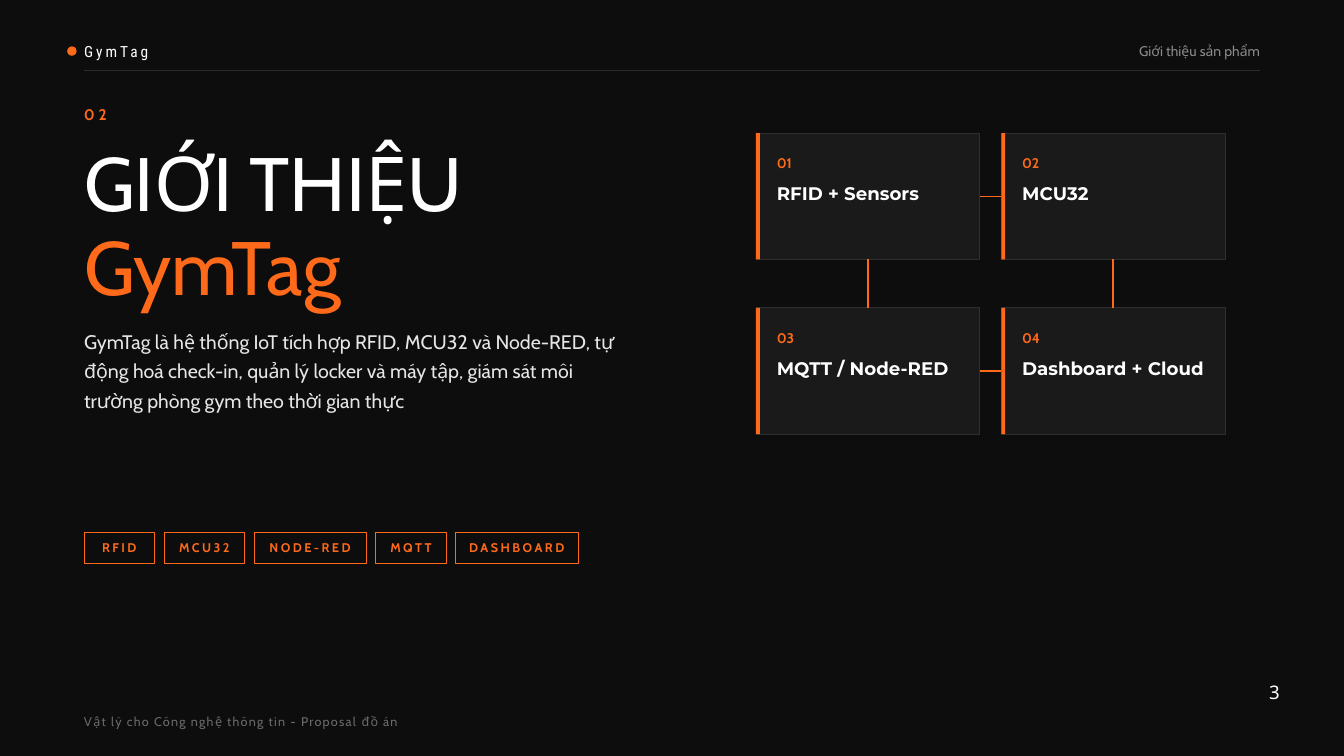
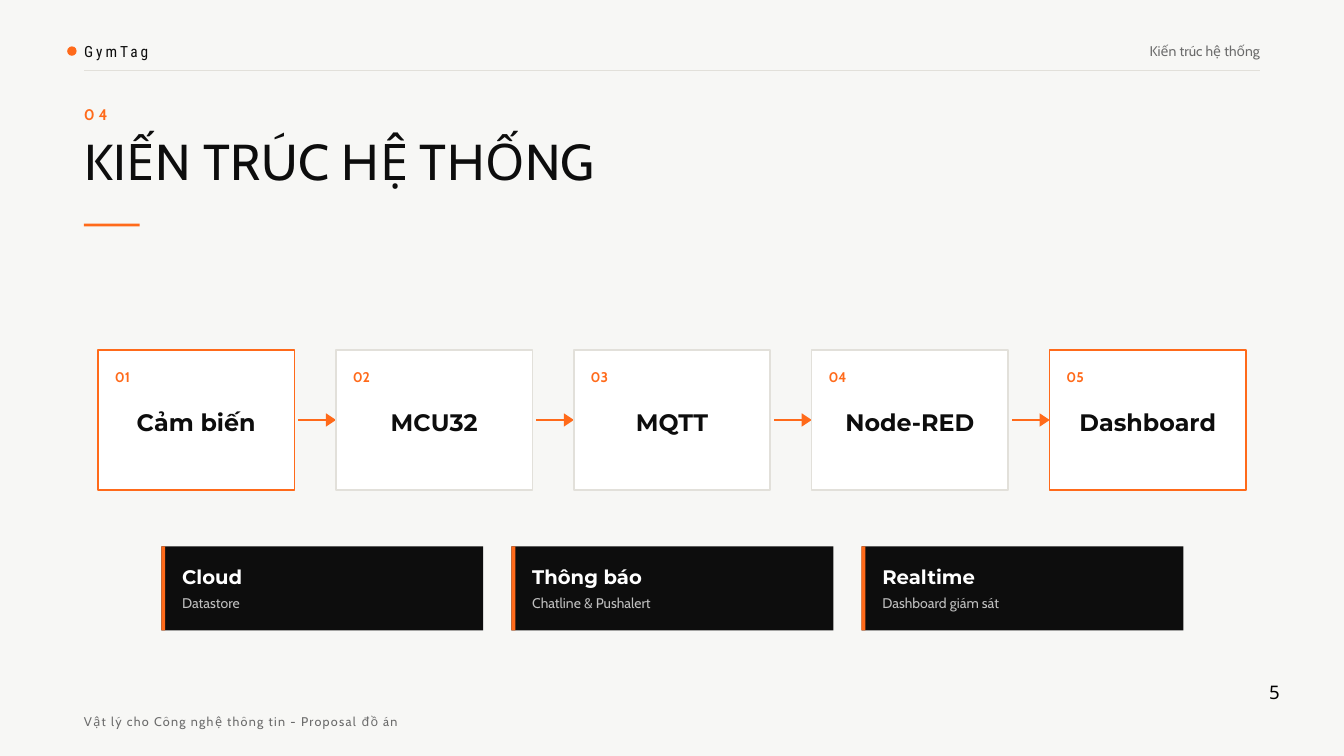
from lxml import etree
from pptx import Presentation
from pptx.dml.color import RGBColor
from pptx.enum.shapes import MSO_CONNECTOR, MSO_SHAPE
from pptx.enum.text import MSO_ANCHOR, MSO_AUTO_SIZE, PP_ALIGN
from pptx.oxml.ns import qn
from pptx.util import Inches, Pt

RECTANGLE = MSO_SHAPE.RECTANGLE
OVAL = MSO_SHAPE.OVAL
STRAIGHT = MSO_CONNECTOR.STRAIGHT
LEFT, CENTER, RIGHT = PP_ALIGN.LEFT, PP_ALIGN.CENTER, PP_ALIGN.RIGHT
TOP = MSO_ANCHOR.TOP
GROW = MSO_AUTO_SIZE.SHAPE_TO_FIT_TEXT
SIDE_TOP, SIDE_LEFT, SIDE_BOTTOM, SIDE_RIGHT = range(4)

ORANGE, BLACK, WHITE = "FF6A1A", "0D0D0D", "FFFFFF"
GRAY, RULE = "6B6B6B", "E2E0DA"
DARK = {"background": BLACK, "text": WHITE, "topic": "8A8A8A", "rule": "2A2A2A", "number": WHITE}
LIGHT = {"background": "F7F7F5", "text": BLACK, "topic": GRAY, "rule": RULE, "number": "000000"}

MARGIN = 1.25
FOOTER = "Vật lý cho Công nghệ thông tin - Proposal đồ án"


def text_style(name, size, line, bold=False, align=LEFT, tracking=0):
    """Collect the font, paragraph and tracking values of one text style."""
    return {
        "font": {"name": name, "size": Pt(size), "bold": bold},
        "paragraph": {"line_spacing": Pt(line), "alignment": align},
        "tracking": tracking,
    }


STYLES = {
    "brand": text_style("Roboto Condensed", 16.5, 23.1, tracking=3.3),
    "topic": text_style("Cabin", 15, 21, align=RIGHT),
    "section": text_style("Cabin", 16.5, 23.1, bold=True, tracking=4.13),
    "hero": text_style("Cabin", 81, 81),
    "title": text_style("Cabin", 54, 56.7, tracking=0.54),
    "body": text_style("Cabin", 21, 31.5),
    "tag": text_style("Cabin", 13.5, 18.9, bold=True, align=CENTER, tracking=2.7),
    "index": text_style("Cabin", 15, 21, bold=True),
    "module": text_style("Montserrat", 19.5, 27.3, bold=True),
    "stage": text_style("Montserrat", 25.5, 35.7, bold=True, align=CENTER),
    "service": text_style("Montserrat", 21, 29.4, bold=True),
    "detail": text_style("Cabin", 15, 21),
    "number": text_style("Noto Sans", 20, 28, align=CENTER),
    "footer": text_style("Cabin", 13.5, 18.9, tracking=1.35),
}


def color(value):
    """Turn a hex string into a colour."""
    return RGBColor.from_string(value)


def set_values(target, values):
    """Set every attribute named in a dict."""
    for name, value in values.items():
        setattr(target, name, value)


def write(shape, text, style, text_color, margin_top=0):
    """Fill a shape with one styled paragraph."""
    frame = shape.text_frame
    set_values(frame, {
        "margin_left": 0, "margin_right": 0, "margin_bottom": 0,
        "margin_top": Inches(margin_top), "vertical_anchor": TOP, "word_wrap": True,
    })
    values = STYLES[style]
    paragraph = frame.paragraphs[0]
    set_values(paragraph, values["paragraph"])
    run = paragraph.add_run()
    run.text = text
    set_values(run.font, values["font"])
    run.font.color.rgb = color(text_color)
    if values["tracking"]:
        run._r.get_or_add_rPr().set("spc", str(round(values["tracking"] * 100)))


def add_text(slide, box, text, style, text_color):
    """Add a text box that grows with its text."""
    shape = slide.shapes.add_textbox(*map(Inches, box))
    write(shape, text, style, text_color)
    shape.text_frame.auto_size = GROW
    return shape


def paint(shape, fill=None, line=None, width=0.75):
    """Give a shape a flat fill and an optional outline."""
    shape.shadow.inherit = False
    if fill:
        shape.fill.solid()
        shape.fill.fore_color.rgb = color(fill)
    else:
        shape.fill.background()
    if line:
        shape.line.color.rgb = color(line)
        shape.line.width = Pt(width)
    else:
        shape.line.fill.background()


def add_box(slide, box, fill=None, line=None, width=0.75, kind=RECTANGLE):
    """Add a painted preset shape."""
    shape = slide.shapes.add_shape(kind, *map(Inches, box))
    paint(shape, fill, line, width)
    return shape


def add_line(slide, start, end, line, width):
    """Add a straight connector without a shadow."""
    connector = slide.shapes.add_connector(STRAIGHT, *map(Inches, (*start, *end)))
    connector.line.color.rgb = color(line)
    connector.line.width = Pt(width)
    etree.SubElement(connector._element.spPr, qn("a:effectLst"))
    return connector


def add_arrow(slide, left, middle, tip):
    """Draw a line with a broad triangular head ending at the tip."""
    add_line(slide, (left, middle), (tip - 0.06, middle), ORANGE, 2.25)
    back = Inches(tip - 0.15)
    builder = slide.shapes.build_freeform(back, Inches(middle - 0.1))
    points = ((Inches(tip), Inches(middle)), (back, Inches(middle + 0.1)))
    builder.add_line_segments(points, close=True)
    paint(builder.convert_to_shape(), ORANGE)


def add_header(slide, theme, topic, section):
    """Draw the brand, topic, rule and section number."""
    add_box(slide, (1, 0.69, 0.14, 0.14), ORANGE, kind=OVAL)
    add_text(slide, (MARGIN, 0.58, 6.25, 0.31), "GymTag", "brand", theme["text"])
    add_text(slide, (16.75, 0.59, 2, 0.28), topic, "topic", theme["topic"])
    add_line(slide, (MARGIN, 1.04), (18.75, 1.04), theme["rule"], 0.75)
    add_text(slide, (MARGIN, 1.52, 8.33, 0.31), section, "section", ORANGE)


def add_footer(slide, theme, number):
    """Draw the page number and the footer."""
    page = add_text(slide, (18.88, 10.07, 0.17, 0.22), number, "number", theme["number"])
    page.text_frame.word_wrap = False
    add_text(slide, (MARGIN, 10.59, 8.33, 0.25), FOOTER, "footer", GRAY)


def add_themed_slide(presentation, theme):
    """Add a blank slide with the background of a theme."""
    slide = presentation.slides.add_slide(presentation.slide_layouts[6])
    slide.background.fill.solid()
    slide.background.fill.fore_color.rgb = color(theme["background"])
    return slide


def add_tags(slide, left, top, tags):
    """Lay outlined tags in a row with equal gaps."""
    for label, width in tags:
        tag = add_box(slide, (left, top, width, 0.46), line=ORANGE)
        write(tag, label, "tag", ORANGE, margin_top=0.08)
        left += width + 0.14


def add_module_card(slide, box, index, name):
    """Draw a dark card with an accent bar, index and name."""
    left, top, width, height = box
    card = add_box(slide, box, "1A1A1A", "2F2F2F")
    add_box(slide, (left, top, 0.06, height), ORANGE)
    add_text(slide, (left + 0.31, top + 0.68, width - 0.62, 0.37), name, "module", WHITE)
    add_text(slide, (left + 0.31, top + 0.28, 0.62, 0.28), index, "index", ORANGE)
    return card


def add_module_grid(slide, left, top, names):
    """Draw a two by two grid of linked module cards."""
    cards = []
    for position, name in enumerate(names):
        row, column = divmod(position, 2)
        box = (left + column * 3.65, top + row * 2.6, 3.33, 1.88)
        cards.append(add_module_card(slide, box, f"{position + 1:02}", name))
    across, down = (SIDE_RIGHT, SIDE_LEFT), (SIDE_BOTTOM, SIDE_TOP)
    for first, second, sides in ((0, 1, across), (0, 2, down), (1, 3, down), (2, 3, across)):
        link = add_line(slide, (left, top), (left, top), ORANGE, 1.5)
        link.begin_connect(cards[first], sides[0])
        link.end_connect(cards[second], sides[1])


def add_stage(slide, box, index, name, line):
    """Draw a white stage card with its index and centred name."""
    left, top, width, height = box
    add_box(slide, box, WHITE, line, 1.5)
    add_text(slide, (left + 0.25, top + 0.23, 0.62, 0.27), index, "index", ORANGE)
    add_text(slide, (left + 0.25, top + 0.79, width - 0.5, 0.46), name, "stage", BLACK)


def add_flow(slide, left, top, names):
    """Draw the stages in a row, each with an arrow from the one before."""
    width, height, pitch = 2.92, 2.08, 3.54
    for position, name in enumerate(names):
        stage_left = left + position * pitch
        if position:
            start = stage_left - pitch + width + 0.06
            add_arrow(slide, start, top + height / 2, stage_left)
        line = ORANGE if position in (0, len(names) - 1) else RULE
        box = (stage_left, top, width, height)
        add_stage(slide, box, f"{position + 1:02}", name, line)


def add_service(slide, box, name, detail):
    """Draw a black panel with an accent bar, name and detail."""
    left, top, width, height = box
    add_box(slide, box, BLACK)
    add_box(slide, (left, top, 0.06, height), ORANGE)
    add_text(slide, (left + 0.31, top + 0.22, width - 0.62, 0.38), name, "service", WHITE)
    add_text(slide, (left + 0.31, top + 0.67, width - 0.62, 0.27), detail, "detail", "BFBFBF")


def build_introduction(presentation):
    """Build the product introduction slide."""
    slide = add_themed_slide(presentation, DARK)
    add_header(slide, DARK, "Giới thiệu sản phẩm", "02")
    add_text(slide, (MARGIN, 2.25, 10.42, 1.18), "GIỚI THIỆU", "hero", WHITE)
    add_text(slide, (MARGIN, 3.5, 10.42, 1.18), "GymTag", "hero", ORANGE)
    summary = (
        "GymTag là hệ thống IoT tích hợp RFID, MCU32 và Node-RED, tự động hoá check-in, "
        "quản lý locker và máy tập, giám sát môi trường phòng gym theo thời gian thực"
    )
    add_text(slide, (MARGIN, 4.82, 8.12, 1.3), summary, "body", "E6E6E6")
    tags = (("RFID", 1.05), ("MCU32", 1.2), ("NODE-RED", 1.67), ("MQTT", 1.05), ("DASHBOARD", 1.82))
    add_tags(slide, MARGIN, 7.92, tags)
    modules = ("RFID + Sensors", "MCU32", "MQTT / Node-RED", "Dashboard + Cloud")
    add_module_grid(slide, 11.25, 1.98, modules)
    add_footer(slide, DARK, "3")


def build_architecture(presentation):
    """Build the system architecture slide."""
    slide = add_themed_slide(presentation, LIGHT)
    add_header(slide, LIGHT, "Kiến trúc hệ thống", "04")
    add_text(slide, (MARGIN, 2.05, 14.58, 0.82), "KIẾN TRÚC HỆ THỐNG", "title", BLACK)
    add_box(slide, (MARGIN, 3.33, 0.83, 0.04), ORANGE)
    add_flow(slide, 1.46, 5.21, ("Cảm biến", "MCU32", "MQTT", "Node-RED", "Dashboard"))
    services = (
        ("Cloud", "Datastore"),
        ("Thông báo", "Chatline & Pushalert"),
        ("Realtime", "Dashboard giám sát"),
    )
    for position, (name, detail) in enumerate(services):
        add_service(slide, (2.4 + position * 5.21, 8.13, 4.79, 1.25), name, detail)
    add_footer(slide, LIGHT, "5")


def main():
    """Build and save the presentation."""
    presentation = Presentation()
    presentation.slide_width = Inches(20)
    presentation.slide_height = Inches(11.25)
    build_introduction(presentation)
    build_architecture(presentation)
    presentation.save("out.pptx")


if __name__ == "__main__":
    main()
